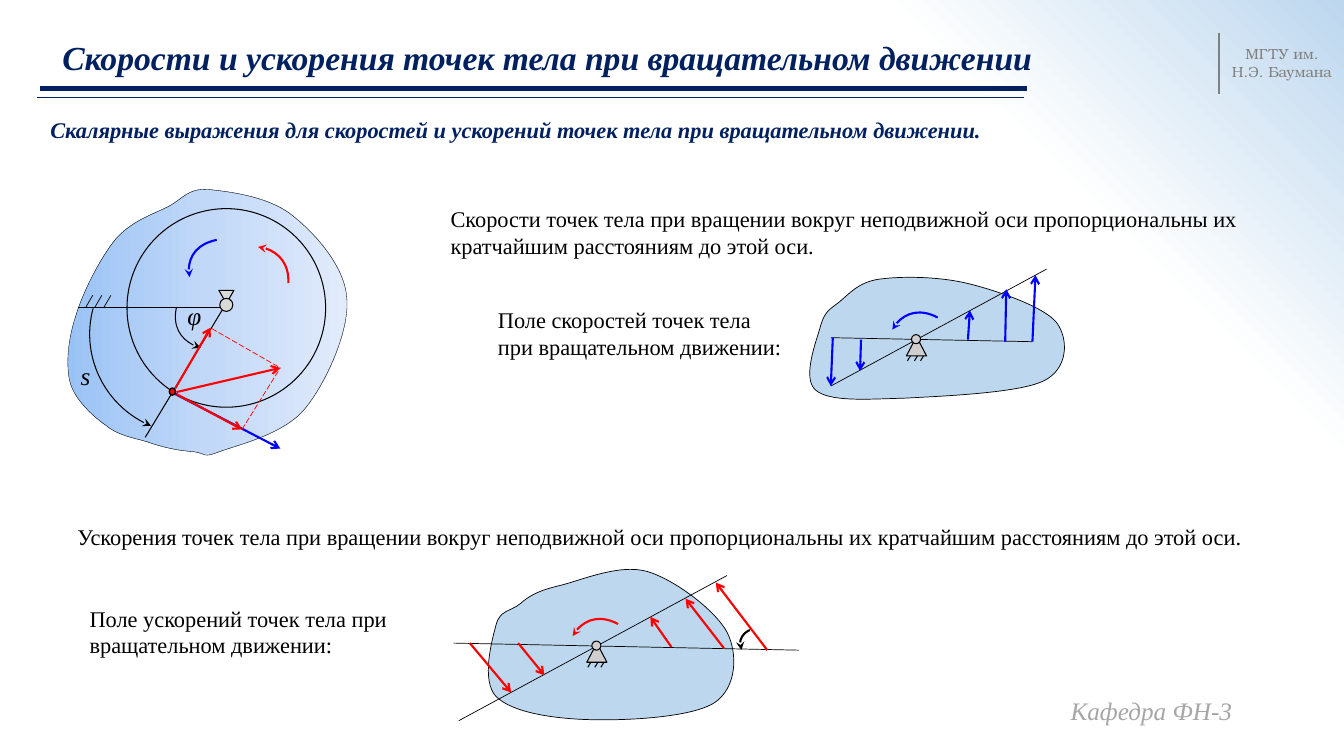
from lxml import etree
from pptx import Presentation
from pptx.dml.color import RGBColor
from pptx.enum.dml import MSO_LINE
from pptx.enum.shapes import MSO_CONNECTOR, MSO_SHAPE
from pptx.enum.text import MSO_ANCHOR, PP_ALIGN
from pptx.oxml.ns import qn
from pptx.util import Inches, Pt

STRAIGHT = MSO_CONNECTOR.STRAIGHT
ELLIPSE, TRIANGLE, ARC = MSO_SHAPE.OVAL, MSO_SHAPE.ISOSCELES_TRIANGLE, MSO_SHAPE.ARC
LONG_DASH = MSO_LINE.LONG_DASH
MIDDLE, CENTER = MSO_ANCHOR.MIDDLE, PP_ALIGN.CENTER

BLACK = RGBColor(0x00, 0x00, 0x00)
NAVY = RGBColor(0x00, 0x20, 0x60)
BLUE = RGBColor(0x00, 0x00, 0xFF)
RED = RGBColor(0xFF, 0x00, 0x00)
GRAY = RGBColor(0x80, 0x80, 0x80)
FOOTER_GRAY = RGBColor(0xA6, 0xA6, 0xA6)
PIN_GRAY = RGBColor(0xD9, 0xD9, 0xD9)
SUPPORT_GRAY = RGBColor(0xD0, 0xCE, 0xCE)
PALE_BLUE = RGBColor(0xBD, 0xD7, 0xEE)

SERIF, BOOKMAN = "Times New Roman", "TeX Gyre Bonum"

BACKGROUND_STOPS = [(78, "FFFFFF"), (100, "BDD7EE")]
BODY_STOPS = [(0, "9AC3F5"), (50, "C2D8F8"), (100, "E1EBFB")]

# text, (left, top, width, height), size, colour, bold, italic
TITLE = ("Скорости и ускорения точек тела при вращательном движении",
         (0.52, 0.24, 10, 0.71), 24, NAVY, True, True)
UNIVERSITY = ("МГТУ им. Н.Э. Баумана", (12.09, 0.4, 1.25, 0.45), 10.5, GRAY, False, False)
TEXTS = [
    ("Скалярные выражения для скоростей и ускорений точек тела при вращательном движении.",
     (0.4, 1.1, 10.11, 0.37), 16, NAVY, True, True),
    ("Скорости точек тела при вращении вокруг неподвижной оси пропорциональны их "
     "кратчайшим расстояниям до этой оси.", (4.37, 1.99, 8.49, 0.64), 16, BLACK, False, False),
    ("Поле скоростей точек тела при вращательном движении:",
     (4.84, 2.99, 3.08, 0.64), 16, BLACK, False, False),
    ("Ускорения точек тела при вращении вокруг неподвижной оси пропорциональны их "
     "кратчайшим расстояниям до этой оси.", (0.67, 5.14, 11.87, 0.37), 16, BLACK, False, False),
    ("Поле ускорений точек тела при вращательном движении:",
     (0.79, 5.95, 3.52, 0.64), 16, BLACK, False, False),
    ("Кафедра ФН-3", (10.52, 6.85, 2.19, 0.4), 18, FOOTER_GRAY, False, True),
    ("s", (0.7, 3.53, 0.32, 0.4), 18, BLACK, False, True),
    ("φ", (1.76, 2.93, 0.29, 0.4), 18, BLACK, False, True),
]

# start, end, colour, width
HEADER_RULES = [
    ((0.4, 0.88), (10.19, 0.88), NAVY, 3.5),
    ((0.37, 0.97), (10.16, 0.97), NAVY, 0.75),
    ((12.09, 0.33), (12.09, 0.93), GRAY, 1.5),
]

# Bezier outlines: a start point, then three points for each curve
ROTATING_BOX = (0.67, 1.88, 2.77, 2.64)
ROTATING_BODY = [
    (1.05, 4.22), (0.92, 4.13), (0.75, 3.97), (0.7, 3.81), (0.65, 3.65), (0.67, 3.38),
    (0.75, 3.14), (0.82, 2.9), (1, 2.55), (1.15, 2.37), (1.31, 2.19), (1.51, 2.13),
    (1.67, 2.05), (1.82, 1.97), (1.86, 1.87), (2.06, 1.88), (2.27, 1.9), (2.66, 1.95),
    (2.89, 2.13), (3.12, 2.31), (3.42, 2.64), (3.44, 2.96), (3.47, 3.28), (3.23, 3.81),
    (3.02, 4.06), (2.81, 4.31), (2.37, 4.41), (2.18, 4.48), (2, 4.55), (2.07, 4.5),
    (1.91, 4.48), (1.75, 4.47), (1.59, 4.43), (1.45, 4.38), (1.31, 4.34), (1.17, 4.32),
    (1.05, 4.22)]
VELOCITY_BOX = (8.03, 2.75, 2.53, 1.21)
VELOCITY_BODY = [
    (8.32, 3), (8.42, 2.92), (8.51, 2.8), (8.72, 2.77), (8.93, 2.74), (9.29, 2.74),
    (9.59, 2.81), (9.88, 2.88), (10.35, 3.04), (10.48, 3.2), (10.6, 3.36), (10.6, 3.66),
    (10.35, 3.78), (10.1, 3.9), (9.35, 3.93), (8.98, 3.95), (8.6, 3.96), (8.23, 3.99),
    (8.09, 3.87), (7.95, 3.75), (8.1, 3.38), (8.14, 3.23), (8.18, 3.09), (8.23, 3.07),
    (8.32, 3)]
ACCELERATION_BOX = (4.84, 5.65, 2.43, 1.5)
ACCELERATION_BODY = [
    (5.16, 5.99), (5.25, 5.91), (5.34, 5.86), (5.55, 5.81), (5.76, 5.76), (6.14, 5.59),
    (6.42, 5.67), (6.69, 5.75), (7.09, 6.05), (7.21, 6.27), (7.32, 6.48), (7.31, 6.82),
    (7.09, 6.97), (6.86, 7.12), (6.21, 7.15), (5.85, 7.14), (5.49, 7.13), (5.08, 7.07),
    (4.92, 6.91), (4.77, 6.75), (4.88, 6.35), (4.92, 6.2), (4.96, 6.05), (5.06, 6.07),
    (5.16, 5.99)]

# points, colour, width; the arrowhead is at the first point
TURN_ARROWS = [
    ([(1.99, 3.45), (1.82, 3.41), (1.71, 3.24), (1.75, 3.05)], BLACK, 0.75),
    ([(1.88, 2.75), (1.84, 2.58), (1.96, 2.42), (2.15, 2.38)], BLUE, 1.5),
    ([(2.56, 2.45), (2.73, 2.46), (2.87, 2.62), (2.86, 2.81)], RED, 1.5),
]
FIELD_TURN = [(-0.24, -0.1), (-0.16, -0.26), (0.04, -0.31), (0.21, -0.22)]

RADIUS_LINES = [((0.77, 3.05), (2.22, 3.05)), ((2.22, 3.05), (1.44, 4.34))]
POINT_VECTORS = [
    ((1.74, 3.91), (2.78, 4.45), BLUE),
    ((1.74, 3.85), (2.09, 3.25), RED),
    ((1.75, 3.91), (2.4, 4.26), RED),
    ((1.75, 3.89), (2.78, 3.65), RED),
]
PARALLELOGRAM = [((2.1, 3.26), (2.78, 3.65)), ((2.4, 4.26), (2.78, 3.65))]

# outline, its box, pivot, colour, guide lines, vectors
FIELDS = [
    (VELOCITY_BODY, VELOCITY_BOX, (9.09, 3.37), BLUE,
     [((8.24, 3.35), (10.24, 3.39)), ((10.38, 2.67), (8.24, 3.83))],
     [((10.24, 3.39), (10.27, 2.73)), ((9.97, 3.39), (9.98, 2.87)), ((9.6, 3.37), (9.62, 3.08)),
      ((8.54, 3.37), (8.53, 3.68)), ((8.26, 3.35), (8.24, 3.83))]),
    (ACCELERATION_BODY, ACCELERATION_BOX, (5.92, 6.41), RED,
     [((4.5, 6.38), (7.92, 6.45)), ((7.21, 5.71), (4.55, 7.15))],
     [((7.61, 6.45), (7.1, 5.78)), ((7.18, 6.43), (6.8, 5.94)), ((6.66, 6.42), (6.45, 6.12)),
      ((5.14, 6.38), (5.4, 6.7)), ((4.66, 6.38), (5.07, 6.87))]),
]

presentation = Presentation()
presentation.slide_width, presentation.slide_height = Inches(13.33), Inches(7.5)
slide = presentation.slides.add_slide(presentation.slide_layouts[6])
shapes = slide.shapes


def set_gradient(owner, stops):
    """Replace the stops of the owner's gradient and return its element."""
    gradient = owner.element.find(".//" + qn("a:gradFill"))
    for child in list(gradient):
        gradient.remove(child)
    stop_list = etree.SubElement(gradient, qn("a:gsLst"))
    for position, color in stops:
        stop = etree.SubElement(stop_list, qn("a:gs"), pos=str(position * 1000))
        etree.SubElement(stop, qn("a:srgbClr"), val=color)
    return gradient


def style_line(shape, color, width, end=None, kind=None):
    """Colour a line; end is headEnd or tailEnd and kind its arrowhead."""
    shape.line.color.rgb = color
    shape.line.width = Pt(width)
    if end:
        line = shape.element.spPr.find(qn("a:ln"))
        etree.SubElement(line, qn("a:" + end), type=kind)


def add_line(start, finish, color=BLACK, width=0.5, arrow=False):
    line = shapes.add_connector(STRAIGHT, *map(Inches, start + finish))
    style_line(line, color, width, "tailEnd" if arrow else None, "arrow")
    etree.SubElement(line.element.spPr, qn("a:effectLst"))
    return line


def add_curve(points, box=None):
    """Draw joined cubic Bezier curves as a freeform without fill."""
    points = [(Inches(x), Inches(y)) for x, y in points]
    builder = shapes.build_freeform(*points[0])
    builder.add_line_segments(points[3::3], close=points[0] == points[-1])
    curve = builder.convert_to_shape()
    if box:
        curve.left, curve.top, curve.width, curve.height = map(Inches, box)
    outline = curve.element.spPr.find(".//" + qn("a:path"))
    outline.set("w", str(curve.width))
    outline.set("h", str(curve.height))
    for child in list(outline):
        outline.remove(child)
    commands = [("moveTo", points[:1])]
    commands += [("cubicBezTo", points[i:i + 3]) for i in range(1, len(points), 3)]
    for command, targets in commands:
        element = etree.SubElement(outline, qn("a:" + command))
        for x, y in targets:
            etree.SubElement(element, qn("a:pt"), x=str(x - curve.left), y=str(y - curve.top))
    if points[0] == points[-1]:
        etree.SubElement(outline, qn("a:close"))
    curve.shadow.inherit = False
    curve.fill.background()
    return curve


def add_preset(kind, box, fill=None, width=0.75):
    shape = shapes.add_shape(kind, *map(Inches, box))
    shape.shadow.inherit = False
    if fill is None:
        shape.fill.background()
    else:
        shape.fill.solid()
        shape.fill.fore_color.rgb = fill
    style_line(shape, BLACK, width)
    return shape


def add_arc(box, start, finish, width):
    """Draw an arc between two angles in degrees, with an arrowhead at its start."""
    arc = add_preset(ARC, box)
    arc.adjustments[0], arc.adjustments[1] = start * 0.6, finish * 0.6
    style_line(arc, BLACK, width, "headEnd", "stealth")


def add_text(text, box, size, color, bold, italic, font_name=SERIF):
    frame = shapes.add_textbox(*map(Inches, box)).text_frame
    frame.word_wrap = True
    frame.text = text
    font = frame.paragraphs[0].runs[0].font
    font.name, font.size, font.bold, font.italic = font_name, Pt(size), bold, italic
    font.color.rgb = color
    return frame


def add_field(outline, box, pivot, color, guides, vectors):
    body = add_curve(outline, box)
    body.fill.solid()
    body.fill.fore_color.rgb = PALE_BLUE
    style_line(body, BLACK, 0.5)
    for guide in guides:
        add_line(*guide)
    for vector in vectors:
        add_line(*vector, color, 1.5, arrow=True)
    x, y = pivot
    add_preset(TRIANGLE, (x - 0.1, y - 0.03, 0.2, 0.19), SUPPORT_GRAY)
    add_preset(ELLIPSE, (x - 0.05, y - 0.05, 0.09, 0.09), SUPPORT_GRAY)
    for offset in (-0.06, 0.01, 0.07):
        add_line((x + offset, y + 0.16), (x + offset - 0.03, y + 0.21), width=0.75)
    turn = add_curve([(x + dx, y + dy) for dx, dy in FIELD_TURN])
    style_line(turn, color, 1.5, "headEnd", "stealth")


slide.background.fill.gradient()
shade = etree.SubElement(set_gradient(slide, BACKGROUND_STOPS), qn("a:path"), path="circle")
etree.SubElement(shade, qn("a:fillToRect"), t="100000", r="100000")

rotating_body = add_curve(ROTATING_BODY, ROTATING_BOX)
rotating_body.fill.gradient()
etree.SubElement(set_gradient(rotating_body, BODY_STOPS), qn("a:lin"), ang="0", scaled="0")
style_line(rotating_body, BLACK, 0.25)
add_preset(TRIANGLE, (2.17, 2.88, 0.15, 0.13), PIN_GRAY).rotation = 180
add_preset(ELLIPSE, (1.26, 2.07, 1.97, 1.97))
for radius_line in RADIUS_LINES:
    add_line(*radius_line, width=0.75)
for hatch in range(3):
    hatch_x = 0.85 + 0.09 * hatch
    add_line((hatch_x + 0.07, 2.93), (hatch_x, 3.05))
add_preset(ELLIPSE, (1.68, 3.85, 0.06, 0.07), RED, 1)
add_preset(ELLIPSE, (2.18, 2.96, 0.13, 0.13), PIN_GRAY)
add_arc((0.89, 2.33, 1.97, 1.97), 112.5, 195, 0.75)
for points, color, width in TURN_ARROWS:
    style_line(add_curve(points), color, width, "headEnd", "stealth")
for start, finish, color in POINT_VECTORS:
    add_line(start, finish, color, 1.5, arrow=True)
for side in PARALLELOGRAM:
    add_line(*side, RED).line.dash_style = LONG_DASH

for field in FIELDS:
    add_field(*field)
add_arc((7.34, 6.24, 0.31, 0.3), 157.6, 247.6, 1.5)

for rule in HEADER_RULES:
    add_line(*rule)
title = add_text(*TITLE)
title.vertical_anchor = MIDDLE
title.paragraphs[0].line_spacing = 0.9
add_text(*UNIVERSITY, BOOKMAN).paragraphs[0].alignment = CENTER
for text in TEXTS:
    add_text(*text)

presentation.save("out.pptx")
